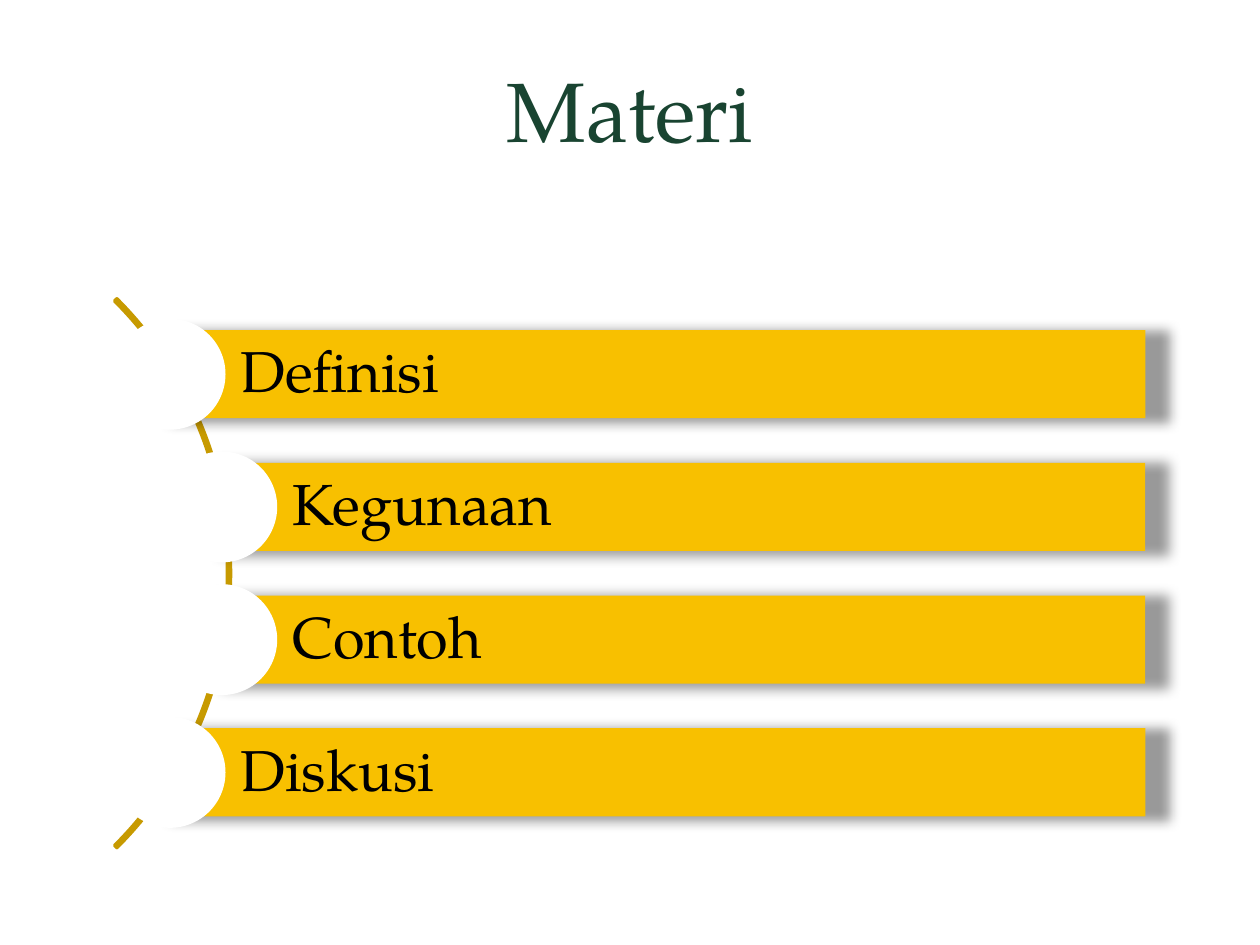
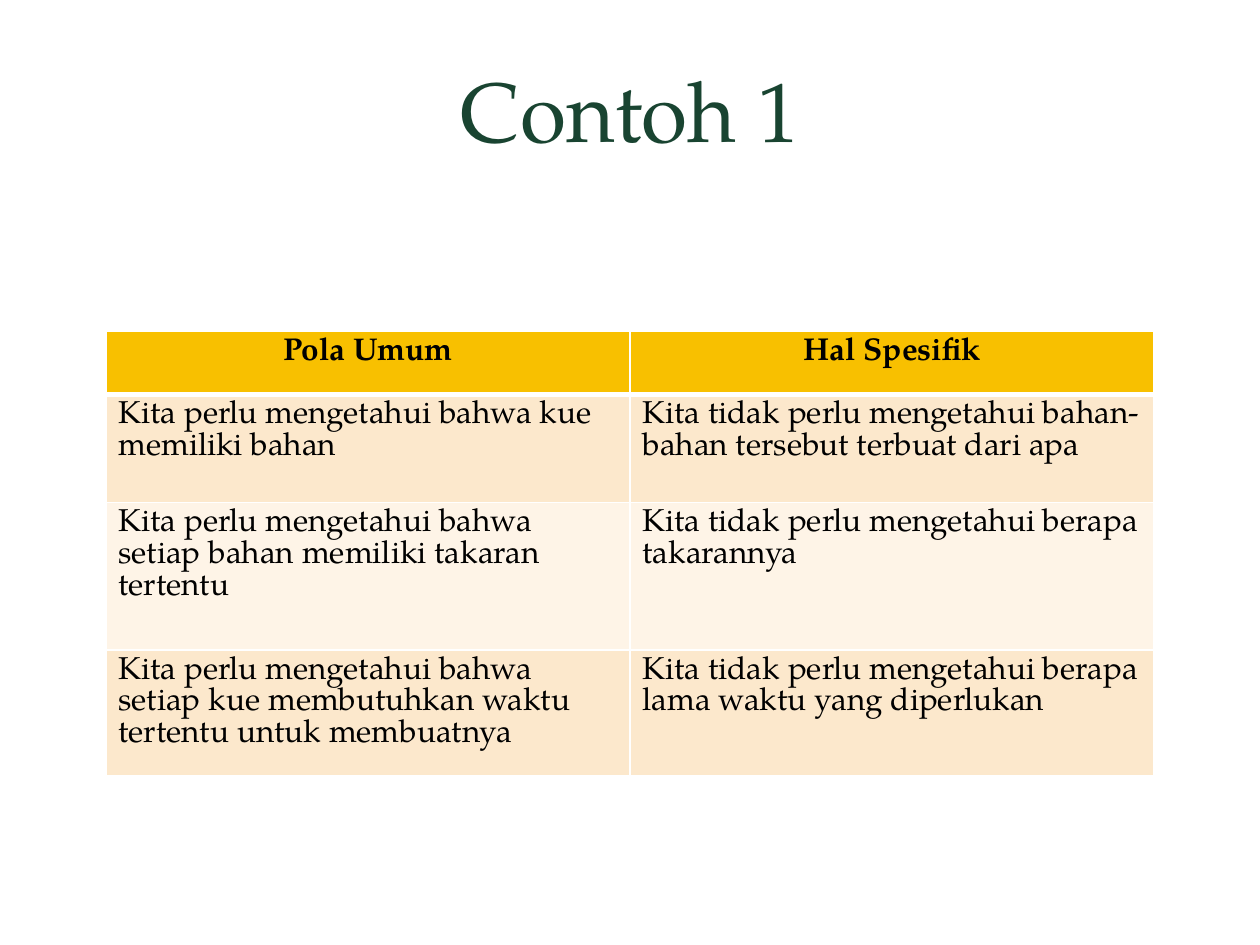
from lxml import etree
from pptx import Presentation
from pptx import util as u
from pptx.dml.color import RGBColor
from pptx.enum import shapes, text
from pptx.oxml import ns

COLORS = {
    "title": "194431",
    "gold": "F8C000",
    "arc": "C79A00",
    "ink": "000000",
    "white": "FFFFFF",
    "band_dark": "FCE8CC",
    "band_light": "FEF4E7",
}
FONT = "TeX Gyre Pagella"

TOPICS_TITLE = "Materi"
TOPICS = [("Definisi", 1.35), ("Kegunaan", 1.76), ("Contoh", 1.76), ("Diskusi", 1.35)]

EXAMPLE_TITLE = "Contoh 1"
EXAMPLE_ROWS = [
    ("Pola Umum", "Hal Spesifik"),
    ("Kita perlu mengetahui bahwa kue memiliki bahan",
     "Kita tidak perlu mengetahui bahan-bahan tersebut terbuat dari apa"),
    ("Kita perlu mengetahui bahwa setiap bahan memiliki takaran tertentu",
     "Kita tidak perlu mengetahui berapa takarannya"),
    ("Kita perlu mengetahui bahwa setiap kue membutuhkan waktu tertentu untuk membuatnya",
     "Kita tidak perlu mengetahui berapa lama waktu yang diperlukan"),
]
ROW_HEIGHTS = [0.5, 0.86, 1.17, 0.84]

MARGIN, CONTENT_WIDTH = 0.84, 8.32
BAR_TOP, BAR_LAST_TOP, BAR_HEIGHT, BAR_RIGHT = 2.62, 5.78, 0.7, 9.09
DISC = 0.88
ARC_LEFT, ARC_TOP, ARC_SIZE = -4.33, 1.47, 6.16
TABLE_TOP = 2.63


def color(name):
    return RGBColor.from_string(COLORS[name])


def add_run(paragraph, words, size, ink="ink", bold=False):
    run = paragraph.add_run()
    run.text = words
    run.font.name = FONT
    run.font.size = u.Pt(size)
    run.font.bold = bold
    run.font.color.rgb = color(ink)


def add_titled_slide(presentation, title):
    slide = presentation.slides.add_slide(presentation.slide_layouts[6])
    slide.background.fill.solid()
    slide.background.fill.fore_color.rgb = color("white")
    box = slide.shapes.add_textbox(
        u.Inches(MARGIN), u.Inches(0.09), u.Inches(CONTENT_WIDTH), u.Inches(1.55))
    frame = box.text_frame
    frame.word_wrap = True
    frame.vertical_anchor = text.MSO_ANCHOR.MIDDLE
    paragraph = frame.paragraphs[0]
    paragraph.alignment = text.PP_ALIGN.CENTER
    add_run(paragraph, title, 48, "title")
    return slide


def add_preset(slide, kind, left, top, width, height, fill=None):
    shape = slide.shapes.add_shape(
        kind, u.Inches(left), u.Inches(top), u.Inches(width), u.Inches(height))
    shape.shadow.inherit = False
    shape.line.fill.background()
    if fill:
        shape.fill.solid()
        shape.fill.fore_color.rgb = color(fill)
    else:
        shape.fill.background()
    return shape


def add_shadow(shape):
    effects = shape._element.spPr.find(ns.qn("a:effectLst"))
    shadow = etree.SubElement(
        effects, ns.qn("a:outerShdw"), blurRad=str(u.Pt(7)), dist="0", dir="0",
        sx="102500", sy="105000", algn="tl", rotWithShape="0")
    tint = etree.SubElement(shadow, ns.qn("a:srgbClr"), val=COLORS["ink"])
    etree.SubElement(tint, ns.qn("a:alpha"), val="40000")


def add_topic(slide, label, left, top):
    bar = add_preset(slide, shapes.MSO_SHAPE.RECTANGLE,
                     left, top, BAR_RIGHT - left, BAR_HEIGHT, "gold")
    add_shadow(bar)
    frame = bar.text_frame
    frame.word_wrap = True
    frame.vertical_anchor = text.MSO_ANCHOR.MIDDLE
    frame.margin_left = u.Inches(0.56)
    frame.margin_right = frame.margin_top = frame.margin_bottom = u.Inches(0.09)
    paragraph = frame.paragraphs[0]
    paragraph.alignment = text.PP_ALIGN.LEFT
    paragraph.line_spacing = 0.9
    add_run(paragraph, label, 33)
    add_preset(slide, shapes.MSO_SHAPE.OVAL, left - DISC / 2,
               top + (BAR_HEIGHT - DISC) / 2, DISC, DISC, "white")


def build_topics(presentation):
    slide = add_titled_slide(presentation, TOPICS_TITLE)
    arc = add_preset(slide, shapes.MSO_SHAPE.BLOCK_ARC,
                     ARC_LEFT, ARC_TOP, ARC_SIZE, ARC_SIZE)
    for index, value in enumerate((189, 27, 0.004)):
        arc.adjustments[index] = value
    arc.line.color.rgb = color("arc")
    arc.line.width = u.Pt(2)
    pitch = (BAR_LAST_TOP - BAR_TOP) / (len(TOPICS) - 1)
    for index, (label, left) in enumerate(TOPICS):
        add_topic(slide, label, left, BAR_TOP + index * pitch)


def set_borders(cell, top, bottom):
    properties = cell._tc.get_or_add_tcPr()
    widths = {"lnL": 1, "lnR": 1, "lnT": top, "lnB": bottom}
    for position, (side, width) in enumerate(widths.items()):
        line = etree.Element(ns.qn("a:" + side), w=str(u.Pt(width)))
        fill = etree.SubElement(line, ns.qn("a:solidFill"))
        etree.SubElement(fill, ns.qn("a:srgbClr"), val=COLORS["white"])
        properties.insert(position, line)


def build_example(presentation):
    slide = add_titled_slide(presentation, EXAMPLE_TITLE)
    columns = len(EXAMPLE_ROWS[0])
    table = slide.shapes.add_table(
        len(EXAMPLE_ROWS), columns, u.Inches(MARGIN), u.Inches(TABLE_TOP),
        u.Inches(CONTENT_WIDTH), u.Inches(sum(ROW_HEIGHTS))).table
    for column in table.columns:
        column.width = u.Inches(CONTENT_WIDTH / columns)
    for row_index, words_in_row in enumerate(EXAMPLE_ROWS):
        table.rows[row_index].height = u.Inches(ROW_HEIGHTS[row_index])
        header = row_index == 0
        band = "gold" if header else ("band_light", "band_dark")[row_index % 2]
        for column_index, words in enumerate(words_in_row):
            cell = table.cell(row_index, column_index)
            cell.fill.solid()
            cell.fill.fore_color.rgb = color(band)
            set_borders(cell, 3 if row_index == 1 else 1, 3 if header else 1)
            paragraph = cell.text_frame.paragraphs[0]
            paragraph.alignment = text.PP_ALIGN.CENTER if header else text.PP_ALIGN.LEFT
            add_run(paragraph, words, 18, bold=header)


def main():
    presentation = Presentation()
    presentation.slide_width = u.Inches(10)
    presentation.slide_height = u.Inches(7.5)
    build_topics(presentation)
    build_example(presentation)
    presentation.save("out.pptx")


if __name__ == "__main__":
    main()
